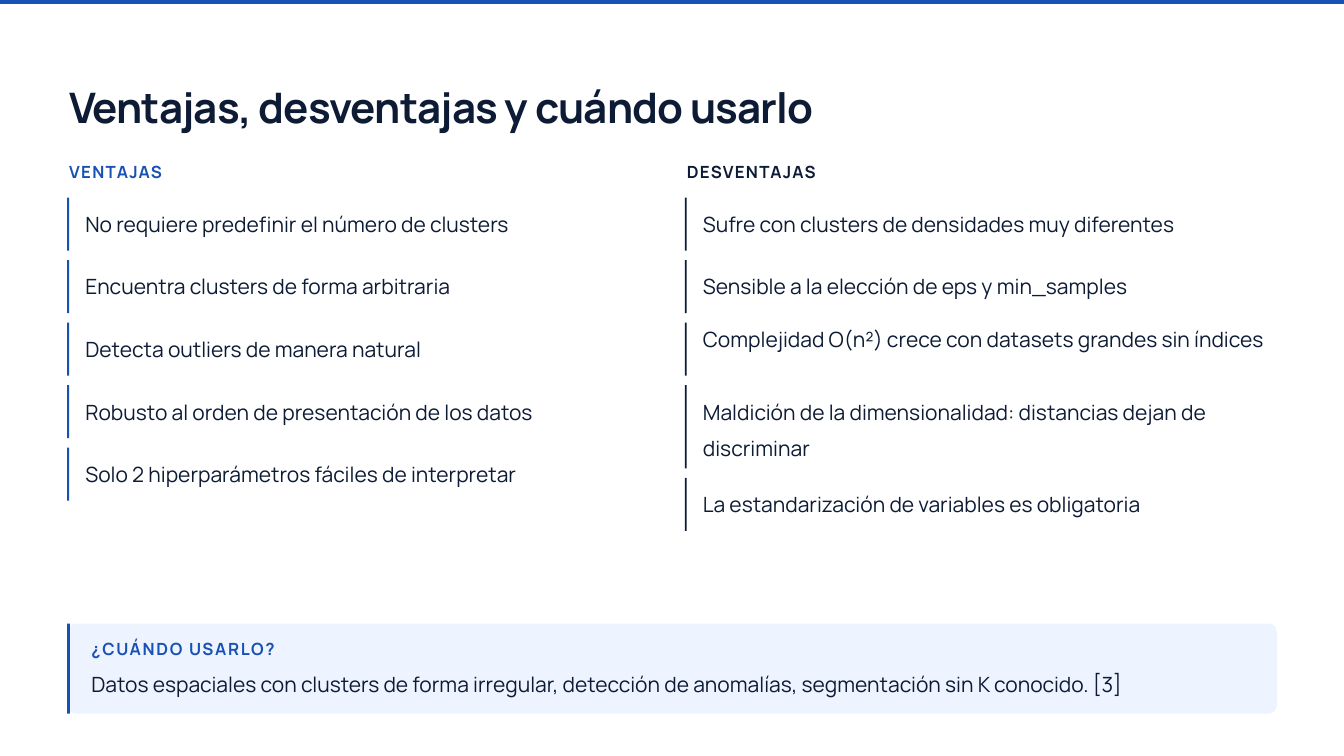
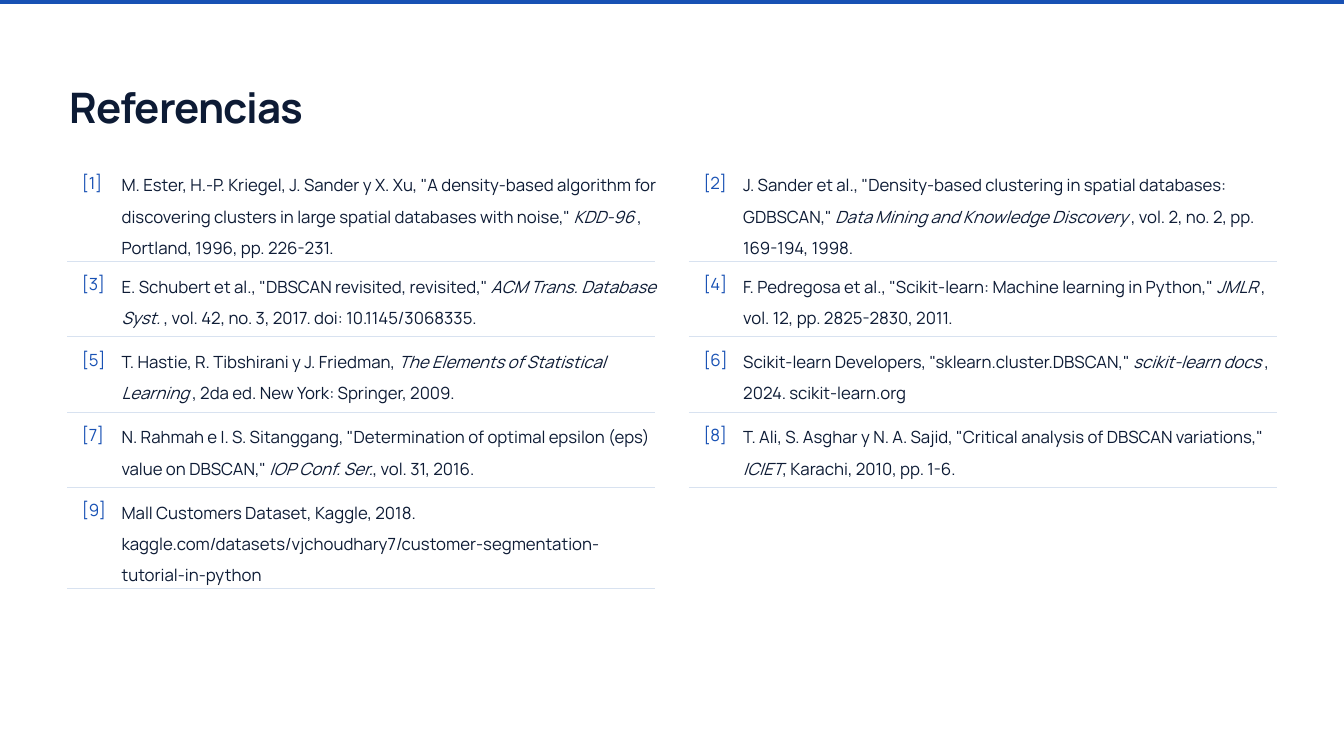
"""Build the DBSCAN pros and cons slide and the references slide."""
from dataclasses import dataclass

from pptx import Presentation
from pptx.dml.color import RGBColor
from pptx.enum.shapes import MSO_CONNECTOR, MSO_SHAPE
from pptx.enum.text import MSO_ANCHOR, MSO_AUTO_SIZE, PP_ALIGN
from pptx.oxml.ns import qn
from pptx.util import Inches, Pt

RECT, ROUNDED = MSO_SHAPE.RECTANGLE, MSO_SHAPE.ROUNDED_RECTANGLE
STRAIGHT = MSO_CONNECTOR.STRAIGHT
TOP, LEFT = MSO_ANCHOR.TOP, PP_ALIGN.LEFT
FIT = MSO_AUTO_SIZE.SHAPE_TO_FIT_TEXT
TITLE_ONLY = 5
COLS, ROWS = 20, 11.25


@dataclass(frozen=True)
class Style:
    size: float
    leading: float
    color: str
    bold: bool = False
    tracking: float = 0


@dataclass(frozen=True)
class Theme:
    font: str = "Manrope"
    accent: str = "1851B4"
    ink: str = "0D1B35"
    panel: str = "EEF4FF"
    rule: str = "D8E2F0"
    title: Style = Style(45, 56.7, ink, True, -0.9)
    pro_head: Style = Style(18, 21.6, accent, True, 1.4)
    con_head: Style = Style(18, 21.6, ink, True, 1.4)
    item: Style = Style(22.5, 39.1, ink)
    panel_head: Style = Style(18, 21.6, accent, True, 1.8)
    panel_text: Style = Style(22.5, 40.5, ink)
    ref_number: Style = Style(18, 21.6, accent)
    ref_text: Style = Style(18, 33.5, ink)


class Deck:
    def __init__(self, theme):
        self.theme = theme
        self.prs = Presentation()
        self.prs.slide_width, self.prs.slide_height = Inches(20), Inches(11.25)
        self.s = None

    def x(self, cols):
        return round(self.prs.slide_width * cols / COLS)

    def y(self, rows):
        return round(self.prs.slide_height * rows / ROWS)

    def box(self, left, top, width, height):
        return self.x(left), self.y(top), self.x(width), self.y(height)

    def slide(self, title, title_width):
        self.s = self.prs.slides.add_slide(self.prs.slide_layouts[TITLE_ONLY])
        self.block(0, 0, COLS, 0.06, self.theme.accent)
        sp = self.s.shapes.title
        sp.left, sp.top, sp.width, sp.height = self.box(1.03, 1.18, title_width, 0.82)
        self.set_text(sp, [title], self.theme.title)

    def block(self, left, top, width, height, color, radius=0):
        kind = ROUNDED if radius else RECT
        sp = self.s.shapes.add_shape(kind, *self.box(left, top, width, height))
        if radius:
            sp.adjustments[0] = radius / min(width, height)
        sp.shadow.inherit = False
        sp.fill.solid()
        sp.fill.fore_color.rgb = RGBColor.from_string(color)
        sp.line.fill.background()

    def rule(self, left, top, width):
        y = self.y(top)
        line = self.s.shapes.add_connector(STRAIGHT, self.x(left), y, self.x(left + width), y)
        line.line.color.rgb = RGBColor.from_string(self.theme.rule)
        line.line.width = Pt(0.75)
        sp_pr = line._element.spPr
        sp_pr.append(sp_pr.makeelement(qn("a:effectLst"), {}))

    def text(self, left, top, width, height, parts, style):
        sp = self.s.shapes.add_textbox(*self.box(left, top, width, height))
        self.set_text(sp, parts, style)

    def set_text(self, sp, parts, style):
        """Fill a shape with one paragraph whose every second part is italic."""
        tf = sp.text_frame
        tf.margin_left = tf.margin_right = tf.margin_top = tf.margin_bottom = 0
        tf.word_wrap, tf.auto_size, tf.vertical_anchor = True, FIT, TOP
        p = tf.paragraphs[0]
        p.alignment, p.line_spacing, p.space_before = LEFT, Pt(style.leading), Pt(0)
        font = p.font
        font.name, font.size, font.bold = self.theme.font, Pt(style.size), style.bold
        font.color.rgb = RGBColor.from_string(style.color)
        if style.tracking:
            font._element.set("spc", str(round(style.tracking * 100)))
        for i, part in enumerate(parts):
            r = p.add_run()
            r.text = part
            if i % 2:
                r.font.italic = True

    def item_column(self, left, heading, items, head_style):
        self.text(left + 0.03, 2.4, 9.02, 0.31, [heading], head_style)
        top = 2.94
        for item, height, text_shift in items:
            self.block(left, top, 0.03, height, head_style.color)
            self.text(left + 0.27, top + text_shift, 8.57, 0.53, [item], self.theme.item)
            top += height + 0.14

    def callout(self, left, top, width, height, heading, body):
        self.block(left, top, width, height, self.theme.panel, radius=0.12)
        self.block(left, top, 0.04, height, self.theme.accent)
        self.text(left + 0.36, top + 0.22, 17.84, 0.31, [heading], self.theme.panel_head)
        self.text(left + 0.36, top + 0.53, 17.84, 0.54, [body], self.theme.panel_text)

    def reference(self, left, top, height, number, parts):
        self.rule(left, top + height, 8.75)
        self.text(left + 0.22, top + 0.13, 0.48, 0.31, [f"[{number}]"], self.theme.ref_number)
        self.text(left + 0.81, top, 7.96, height - 0.12, parts, self.theme.ref_text)


ONE_LINE, TWO_LINES = 0.79, 1.24
SHIFT, RAISED = 0.04, -0.11

PROS = [(text, ONE_LINE, SHIFT) for text in (
    "No requiere predefinir el número de clusters",
    "Encuentra clusters de forma arbitraria",
    "Detecta outliers de manera natural",
    "Robusto al orden de presentación de los datos",
    "Solo 2 hiperparámetros fáciles de interpretar",
)]

CONS = [
    ("Sufre con clusters de densidades muy diferentes", ONE_LINE, SHIFT),
    ("Sensible a la elección de eps y min_samples", ONE_LINE, SHIFT),
    ("Complejidad O(n²) crece con datasets grandes sin índices", ONE_LINE, RAISED),
    ("Maldición de la dimensionalidad: distancias dejan de discriminar", TWO_LINES, SHIFT),
    ("La estandarización de variables es obligatoria", ONE_LINE, SHIFT),
]

REFERENCES = [
    ('M. Ester, H.-P. Kriegel, J. Sander y X. Xu, "A density-based algorithm for discovering '
     'clusters in large spatial databases with noise," ', "KDD-96 ",
     ", Portland, 1996, pp. 226-231."),
    ('J. Sander et al., "Density-based clustering in spatial databases: GDBSCAN," ',
     "Data Mining and Knowledge Discovery ", ", vol. 2, no. 2, pp. 169-194, 1998."),
    ('E. Schubert et al., "DBSCAN revisited, revisited," ', "ACM Trans. Database Syst. ",
     ", vol. 42, no. 3, 2017. doi: 10.1145/3068335."),
    ('F. Pedregosa et al., "Scikit-learn: Machine learning in Python," ', "JMLR ",
     ", vol. 12, pp. 2825-2830, 2011."),
    ("T. Hastie, R. Tibshirani y J. Friedman, ", "The Elements of Statistical Learning ",
     ", 2da ed. New York: Springer, 2009."),
    ('Scikit-learn Developers, "sklearn.cluster.DBSCAN," ', "scikit-learn docs ",
     ", 2024. scikit-learn.org"),
    ('N. Rahmah e I. S. Sitanggang, "Determination of optimal epsilon (eps) value on DBSCAN," ',
     "IOP Conf. Ser.", ", vol. 31, 2016."),
    ('T. Ali, S. Asghar y N. A. Sajid, "Critical analysis of DBSCAN variations," ', "ICIET",
     ", Karachi, 2010, pp. 1-6."),
    ("Mall Customers Dataset, Kaggle, 2018. "
     "kaggle.com/datasets/vjchoudhary7/customer-segmentation-tutorial-in-python",),
]
REF_COLUMNS = (1, 10.25)
REF_HEIGHTS = (1.45, 1.06, 1.06, 1.06, 1.45)


def main():
    theme = Theme()
    deck = Deck(theme)

    deck.slide("Ventajas, desventajas y cuándo usarlo", 12.04)
    deck.item_column(1, "VENTAJAS", PROS, theme.pro_head)
    deck.item_column(10.19, "DESVENTAJAS", CONS, theme.con_head)
    deck.callout(1, 9.28, 18, 1.34, "¿CUÁNDO USARLO?",
                 "Datos espaciales con clusters de forma irregular, detección de anomalías, "
                 "segmentación sin K conocido. [3]")

    deck.slide("Referencias", 3.67)
    for i, parts in enumerate(REFERENCES):
        row, col = divmod(i, len(REF_COLUMNS))
        top = 2.44 + sum(REF_HEIGHTS[:row]) + 0.06 * row
        deck.reference(REF_COLUMNS[col], top, REF_HEIGHTS[row], i + 1, parts)

    deck.prs.save("out.pptx")


if __name__ == "__main__":
    main()
